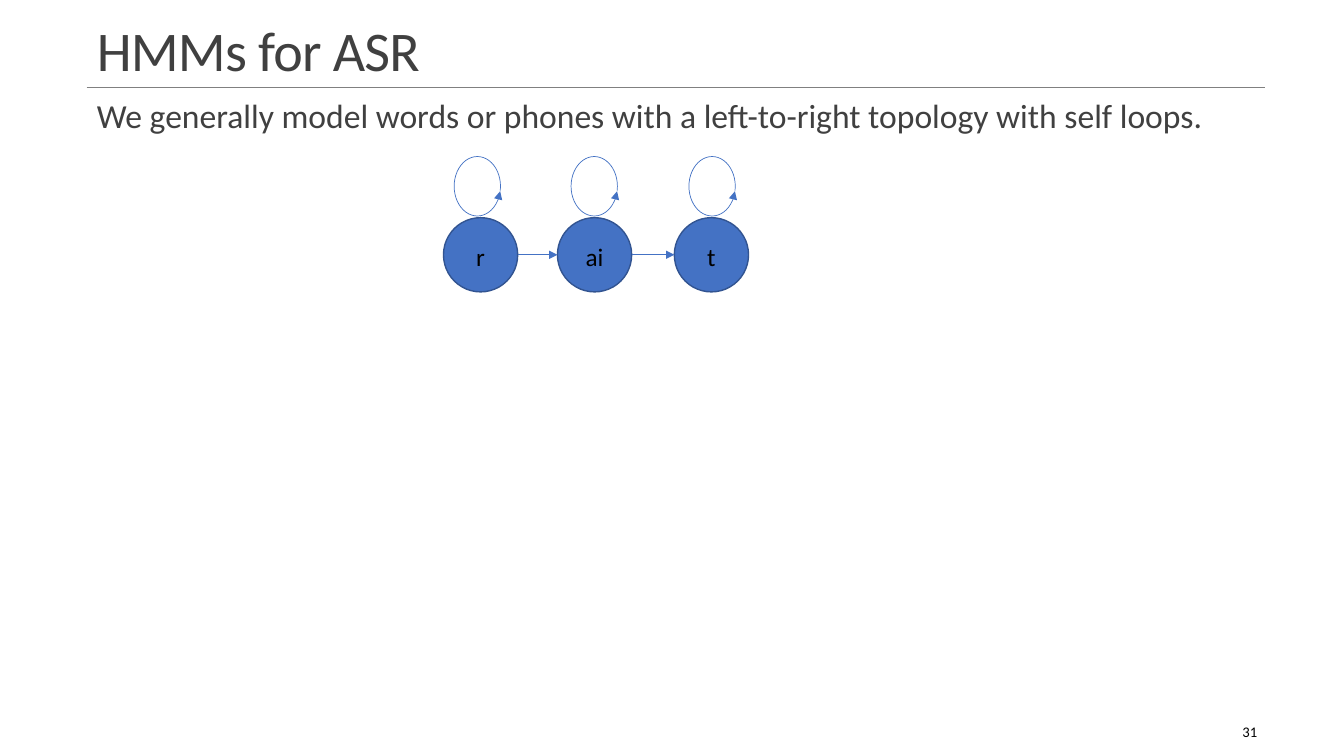
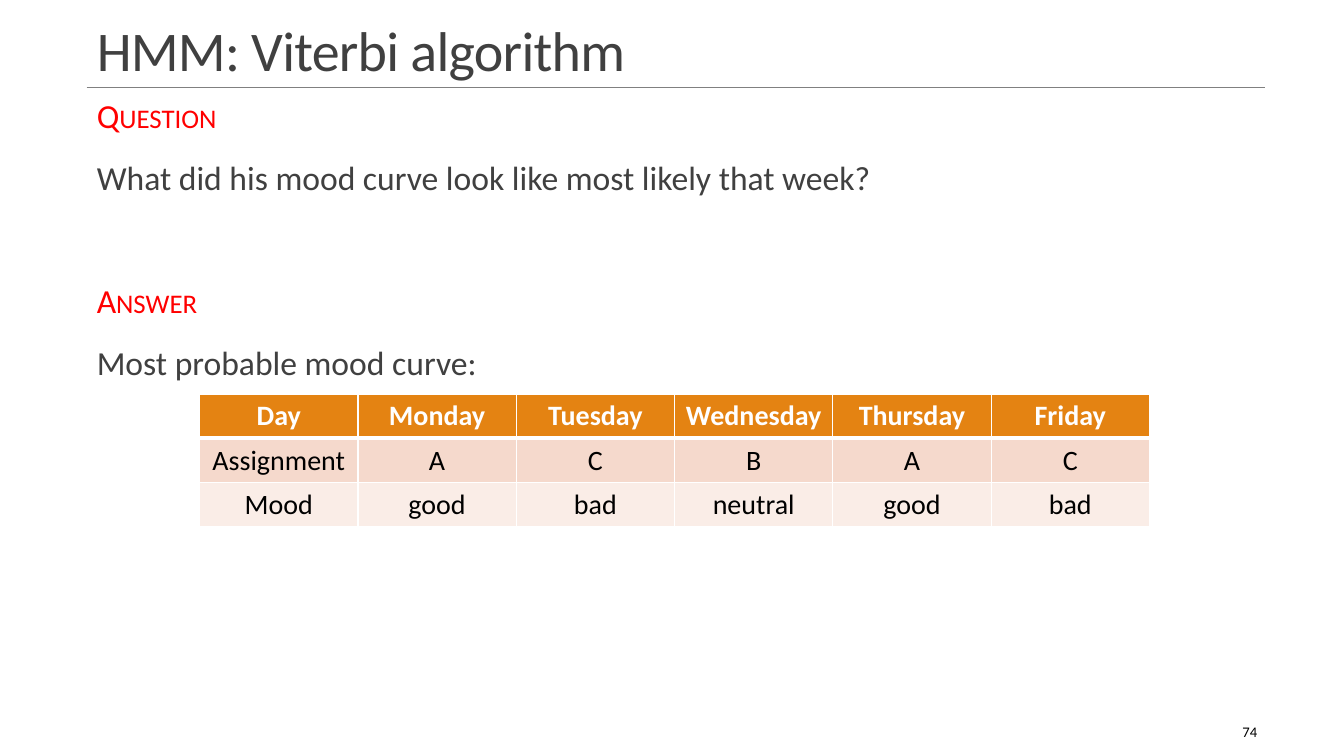
import pptx
import pptx.dml.color
import pptx.enum.shapes
import pptx.enum.text
import pptx.oxml
import pptx.oxml.ns
import pptx.util

Pt = pptx.util.Pt
ALIGN = pptx.enum.text.PP_ALIGN
ANCHOR = pptx.enum.text.MSO_ANCHOR
SHAPE = pptx.enum.shapes.MSO_SHAPE

FONT = "Calibri"
TEXT, RED, BLACK, WHITE = "404040", "FF0000", "000000", "FFFFFF"
RULE, BLUE, OUTLINE = "808080", "4472C4", "325491"
ROW_FILLS = ["E48312", "F5D9CC", "FAEDE7"]

HMM = {
    "title": "HMMs for ASR",
    "number": "31",
    "body": [
        ("We generally model words or phones with a left-to-right topology with self loops.", "text", 12),
    ],
}
VITERBI = {
    "title": "HMM: Viterbi algorithm",
    "number": "74",
    "body": [
        ("Question", "heading", 12),
        ("What did his mood curve look like most likely that week?", "text", 12),
        ("Answer", "heading", 56.4),
        ("Most probable mood curve:", "text", 12),
    ],
}
STATES = [("r", 316.8, 341), ("ai", 398.2, 424.5), ("t", 481.7, 508.7)]
MOOD_TABLE = [
    ["Day", "Monday", "Tuesday", "Wednesday", "Thursday", "Friday"],
    ["Assignment", "A", "C", "B", "A", "C"],
    ["Mood", "good", "bad", "neutral", "good", "bad"],
]

TITLE_BOX = (61.9, 9.4, 842.4, 53.3)
BODY_BOX = (61.9, 67.7, 842.4, 428.4)
NUMBER_BOX = (802.1, 508.3, 103, 28.8)
RULE_LEFT, RULE_RIGHT, RULE_TOP = 61.9, 903.6, 62.6
STATE_TOP, STATE_SIZE = 155.5, 53
LOOP_WIDTH, LOOP_HEIGHT, LOOP_MIDDLE = 42.5, 33.1, 133
TABLE_LEFT, TABLE_TOP, COLUMN_WIDTH, ROW_HEIGHT = 142.6, 281.5, 113.1, 31.6


def color(value):
    return pptx.dml.color.RGBColor.from_string(value)


def apply_format(target, values):
    for name, value in values.items():
        setattr(target, name, value)


def place(shape, box):
    apply_format(shape, dict(zip(("left", "top", "width", "height"), map(Pt, box))))


def write(paragraph, text, size, text_color, bold=False, attributes=None, **paragraph_format):
    apply_format(paragraph, paragraph_format)
    run = paragraph.add_run()
    run.text = text
    apply_format(run.font, {"name": FONT, "size": Pt(size), "bold": bold})
    run.font.color.rgb = color(text_color)
    for name, value in (attributes or {}).items():
        run._r.get_or_add_rPr().set(name, value)


def format_line(shape, line_color, width, arrow=None):
    shape.line.color.rgb = color(line_color)
    shape.line.width = Pt(width)
    if arrow:
        line = shape._element.spPr.find(pptx.oxml.ns.qn("a:ln"))
        line.append(pptx.oxml.parse_xml(
            f'<a:{arrow} {pptx.oxml.ns.nsdecls("a")} type="triangle"/>'))


def add_line(slide, left, right, top, line_color, arrow=None):
    connector = slide.shapes.add_connector(
        pptx.enum.shapes.MSO_CONNECTOR.STRAIGHT, Pt(left), Pt(top), Pt(right), Pt(top))
    format_line(connector, line_color, 0.5, arrow)
    connector._element.spPr.append(
        pptx.oxml.parse_xml(f'<a:effectLst {pptx.oxml.ns.nsdecls("a")}/>'))


def add_body(placeholder, items):
    place(placeholder, BODY_BOX)
    frame = placeholder.text_frame
    apply_format(frame, {
        "margin_left": 0, "margin_right": 0, "margin_top": Pt(3.6), "margin_bottom": Pt(3.6),
        "auto_size": pptx.enum.text.MSO_AUTO_SIZE.NONE,
    })
    for index, (text, role, space_before) in enumerate(items):
        paragraph = frame.add_paragraph() if index else frame.paragraphs[0]
        heading = role == "heading"
        write(paragraph, text, 24, RED if heading else TEXT,
              attributes={"cap": "small"} if heading else None,
              line_spacing=0.9, space_before=Pt(space_before), space_after=Pt(6))
        properties = paragraph._p.get_or_add_pPr()
        properties.set("marL", str(Pt(7.2)))
        properties.set("indent", "0")
        properties.append(pptx.oxml.parse_xml(f'<a:buNone {pptx.oxml.ns.nsdecls("a")}/>'))


def add_slide(presentation, content):
    slide = presentation.slides.add_slide(presentation.slide_layouts[1])
    title = slide.shapes.title
    place(title, TITLE_BOX)
    apply_format(title.text_frame, {
        "vertical_anchor": ANCHOR.BOTTOM, "auto_size": pptx.enum.text.MSO_AUTO_SIZE.NONE})
    write(title.text_frame.paragraphs[0], content["title"], 40, TEXT,
          attributes={"spc": "-50"}, alignment=ALIGN.LEFT, line_spacing=0.85)
    add_body(slide.placeholders[1], content["body"])
    add_line(slide, RULE_LEFT, RULE_RIGHT, RULE_TOP, RULE)
    number = slide.shapes.add_textbox(*map(Pt, NUMBER_BOX))
    apply_format(number.text_frame, {"word_wrap": True, "vertical_anchor": ANCHOR.MIDDLE})
    write(number.text_frame.paragraphs[0], content["number"], 10.5, BLACK, alignment=ALIGN.RIGHT)
    return slide


def add_state(slide, label, left, loop_center):
    state = slide.shapes.add_shape(
        SHAPE.OVAL, Pt(left), Pt(STATE_TOP), Pt(STATE_SIZE), Pt(STATE_SIZE))
    state.shadow.inherit = False
    state.fill.solid()
    state.fill.fore_color.rgb = color(BLUE)
    format_line(state, OUTLINE, 1)
    apply_format(state.text_frame, {
        "margin_left": 0, "margin_right": 0, "margin_top": Pt(2), "margin_bottom": 0,
        "vertical_anchor": ANCHOR.MIDDLE,
    })
    write(state.text_frame.paragraphs[0], label, 18, BLACK, alignment=ALIGN.CENTER)

    loop = slide.shapes.add_shape(
        SHAPE.ARC, Pt(loop_center - LOOP_WIDTH / 2), Pt(LOOP_MIDDLE - LOOP_HEIGHT / 2),
        Pt(LOOP_WIDTH), Pt(LOOP_HEIGHT))
    loop.rotation = 270
    loop.adjustments[0], loop.adjustments[1] = 61.32, 60.48
    loop.shadow.inherit = False
    loop.fill.background()
    format_line(loop, BLUE, 0.5, "headEnd")


def add_state_chain(slide):
    for state in STATES:
        add_state(slide, *state)
    for (_, left, _), (_, next_left, _) in zip(STATES, STATES[1:]):
        add_line(slide, left + STATE_SIZE, next_left, STATE_TOP + STATE_SIZE / 2, BLUE, "tailEnd")


def set_borders(cell, widths):
    properties = cell._tc.get_or_add_tcPr()
    for index, (side, width) in enumerate(widths.items()):
        properties.insert(index, pptx.oxml.parse_xml(
            f'<a:ln{side} {pptx.oxml.ns.nsdecls("a")} w="{Pt(width)}"><a:solidFill>'
            f'<a:srgbClr val="{WHITE}"/></a:solidFill></a:ln{side}>'))


def add_mood_table(slide):
    rows, columns = len(MOOD_TABLE), len(MOOD_TABLE[0])
    table = slide.shapes.add_table(
        rows, columns, Pt(TABLE_LEFT), Pt(TABLE_TOP),
        Pt(columns * COLUMN_WIDTH), Pt(rows * ROW_HEIGHT)).table
    for row, values in enumerate(MOOD_TABLE):
        header = row == 0
        for column, text in enumerate(values):
            cell = table.cell(row, column)
            cell.fill.solid()
            cell.fill.fore_color.rgb = color(ROW_FILLS[row])
            cell.vertical_anchor = ANCHOR.TOP if header else ANCHOR.MIDDLE
            set_borders(cell, {"L": 1, "R": 1, "T": 3 if row == 1 else 1, "B": 3 if header else 1})
            write(cell.text_frame.paragraphs[0], text, 20, WHITE if header else BLACK,
                  bold=header, alignment=ALIGN.CENTER)


def main():
    presentation = pptx.Presentation()
    apply_format(presentation, {"slide_width": Pt(960), "slide_height": Pt(540)})
    add_state_chain(add_slide(presentation, HMM))
    add_mood_table(add_slide(presentation, VITERBI))
    presentation.save("out.pptx")


if __name__ == "__main__":
    main()
